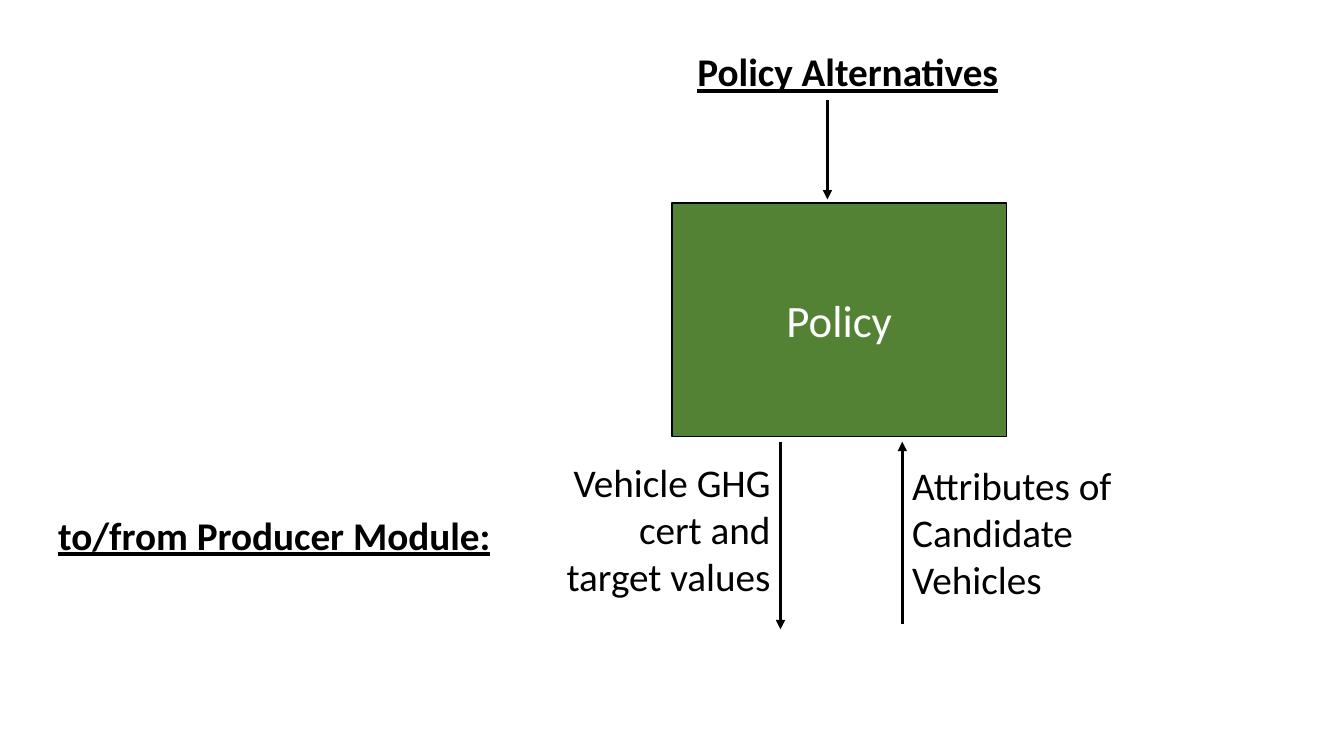
from dataclasses import dataclass

from lxml import etree
from pptx import Presentation
from pptx.dml.color import RGBColor
from pptx.enum.shapes import MSO_CONNECTOR, MSO_SHAPE
from pptx.enum.text import MSO_ANCHOR, MSO_AUTO_SIZE, PP_ALIGN
from pptx.oxml.ns import qn
from pptx.util import Pt

LEFT, CENTER, RIGHT = PP_ALIGN.LEFT, PP_ALIGN.CENTER, PP_ALIGN.RIGHT
MIDDLE = MSO_ANCHOR.MIDDLE
GROW = MSO_AUTO_SIZE.SHAPE_TO_FIT_TEXT
RECTANGLE = MSO_SHAPE.RECTANGLE
STRAIGHT = MSO_CONNECTOR.STRAIGHT


@dataclass(frozen=True)
class Theme:
    ink: RGBColor = RGBColor(0x00, 0x00, 0x00)
    module: RGBColor = RGBColor(0x54, 0x82, 0x35)
    module_text: RGBColor = RGBColor(0xFF, 0xFF, 0xFF)
    font: str = "Calibri"
    module_size: Pt = Pt(32)
    label_size: Pt = Pt(28)
    outline: Pt = Pt(1)
    flow: Pt = Pt(2.25)


theme = Theme()


def write(frame, text, align, color, **formats):
    paragraph = frame.paragraphs[0]
    paragraph.alignment = align
    run = paragraph.add_run()
    run.text = text
    run.font.color.rgb = color
    for name, value in {"name": theme.font, **formats}.items():
        setattr(run.font, name, value)


prs = Presentation()
prs.slide_width, prs.slide_height = Pt(960), Pt(540)
slide = prs.slides.add_slide(prs.slide_layouts[6])

policy = slide.shapes.add_shape(RECTANGLE, Pt(480), Pt(145), Pt(239), Pt(167))
policy.shadow.inherit = False
policy.fill.solid()
policy.fill.fore_color.rgb = theme.module
policy.line.color.rgb = theme.ink
policy.line.width = theme.outline
policy.text_frame.vertical_anchor = MIDDLE
write(policy.text_frame, "Policy", CENTER, theme.module_text, size=theme.module_size)

alternatives_x, targets_x, attributes_x = 591, 557.5, 644.5
flows = [
    (alternatives_x, 71.5, 142.5),
    (targets_x, 315.5, 449.5),
    (attributes_x, 445.5, 315.5),
]
for x, start, end in flows:
    flow = slide.shapes.add_connector(STRAIGHT, Pt(x), Pt(start), Pt(x), Pt(end))
    flow.line.color.rgb = theme.ink
    flow.line.width = theme.flow
    etree.SubElement(flow.line._get_or_add_ln(), qn("a:tailEnd"), type="triangle")
    etree.SubElement(flow._element.spPr, qn("a:effectLst"))

label_width = 163.5
heading = {"bold": True, "underline": True}
labels = [
    ("Policy Alternatives", 480, 30.5, 240, 41, RIGHT, heading),
    ("to/from Producer Module:", 34.5, 361.5, 330, 41, LEFT, heading),
    ("Vehicle GHG cert and target values", targets_x - label_width, 324, label_width, 109, RIGHT, {}),
    ("Attributes of Candidate Vehicles", attributes_x, 326, label_width, 109, LEFT, {}),
]
for text, left, top, width, height, align, formats in labels:
    label = slide.shapes.add_textbox(Pt(left), Pt(top), Pt(width), Pt(height))
    label.text_frame.word_wrap = True
    label.text_frame.auto_size = GROW
    write(label.text_frame, text, align, theme.ink, size=theme.label_size, **formats)

prs.save("out.pptx")
